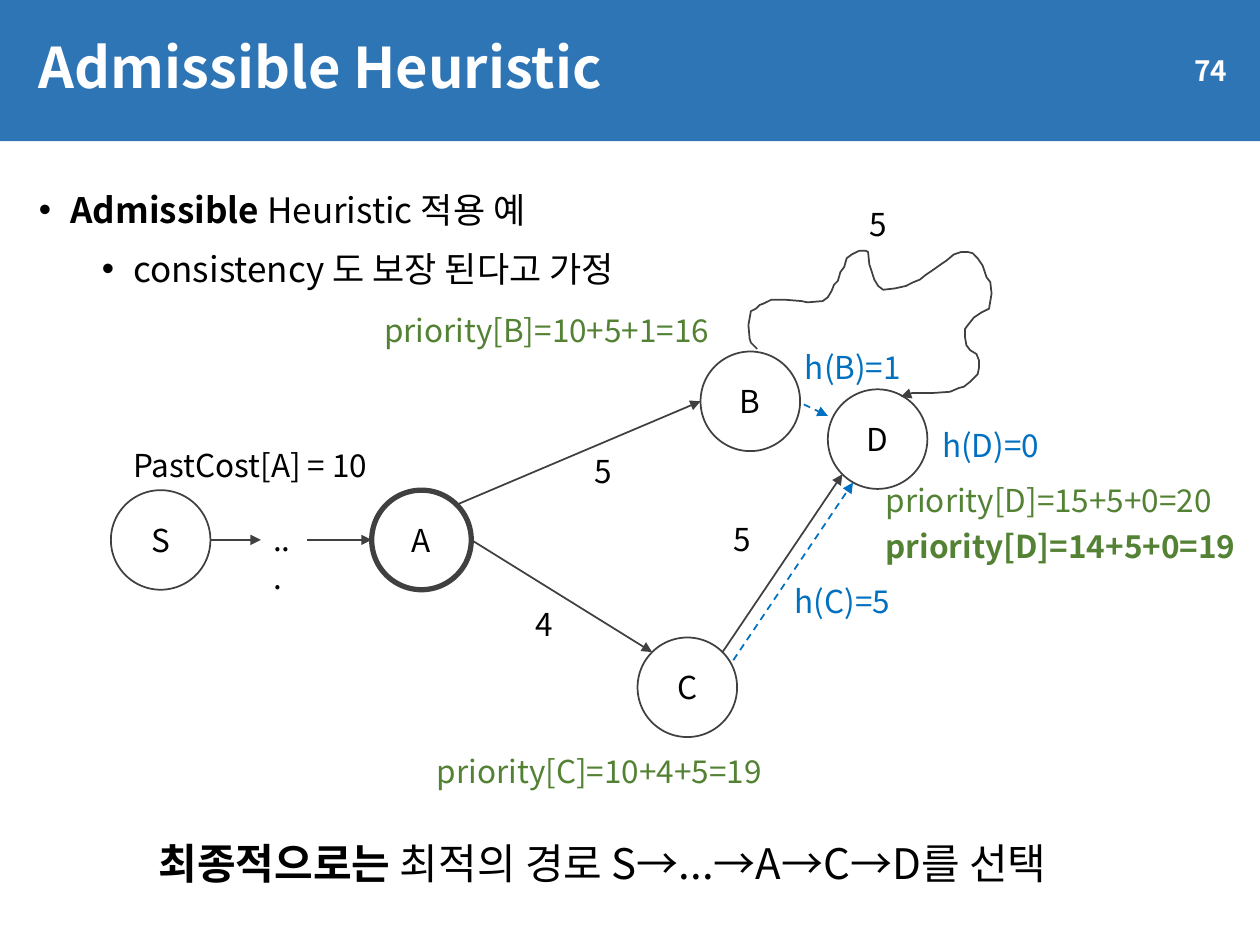
from math import cos, radians, sin
from lxml.etree import SubElement
from pptx import Presentation
from pptx.dml.color import RGBColor
from pptx.enum.dml import MSO_LINE
from pptx.enum.shapes import MSO_CONNECTOR, MSO_SHAPE
from pptx.enum.text import MSO_ANCHOR, MSO_AUTO_SIZE, PP_ALIGN
from pptx.oxml.ns import qn
from pptx.util import Inches, Pt

FONT = "Noto Sans CJK KR"
BLACK, WHITE, GRAY = "000000", "FFFFFF", "404040"
BANNER, BLUE, GREEN = "2E75B6", "0070C0", "548235"
SIZE = 0.79

NODES = {
    "S": (0.88, 3.89, 1),
    "A": (2.95, 3.89, 3),
    "B": (5.56, 2.79, 1),
    "C": (5.06, 5.06, 1),
    "D": (6.57, 3.09, 1),
}
EDGES = [
    (("A", 45), ("B", 180)),
    (("A", 0), ("C", 135)),
    (("C", 45), ("D", 225)),
    (("S", 0), (2.07, 4.285)),
    ((2.44, 4.285), ("A", 180)),
]
ESTIMATES = [((5.82, 5.24), (6.77, 3.83)), ((6.38, 3.21), (6.57, 3.3))]
LABELS = [
    ("5", 4.62, 3.54, 0.34, BLACK),
    ("4", 4.15, 4.75, 0.34, BLACK),
    ("5", 5.72, 4.08, 0.34, BLACK),
    ("5", 6.8, 1.58, 0.34, BLACK),
    ("PastCost[A] = 10", 0.96, 3.49, 2.2, BLACK),
    ("h(B)=1", 6.29, 2.71, 0.96, BLUE),
    ("h(C)=5", 6.21, 4.57, 0.98, BLUE),
    ("h(D)=0", 7.38, 3.33, 1, BLUE),
    ("priority[B]=10+5+1=16", 2.95, 2.42, 2.86, GREEN),
    ("priority[C]=10+4+5=19", 3.37, 5.92, 2.87, GREEN),
    ("priority[D]=15+5+0=20", 6.93, 3.77, 2.89, GREEN),
]
BULLETS = [
    ([("Admissible", True), (" Heuristic 적용 예", False)], 0.25, 0),
    ([("consistency 도 보장 된다고 가정", False)], 0.75, 5),
]
CONCLUSION = [("최종적으로는", True), (" 최적의 경로 S→...→A→C→D를 선택", False)]
DETOUR = [
    (6.01, 2.77), (5.96, 2.72), (5.95, 2.69), (5.94, 2.58), (5.96, 2.47), (6, 2.45),
    (6.03, 2.42), (6.06, 2.41), (6.12, 2.38), (6.24, 2.38), (6.36, 2.39), (6.41, 2.4),
    (6.53, 2.39), (6.57, 2.36), (6.6, 2.31), (6.62, 2.26), (6.65, 2.23), (6.67, 2.16),
    (6.7, 2.12), (6.72, 2.05), (6.76, 2.02), (6.82, 1.99), (6.87, 1.99), (6.89, 2),
    (6.9, 2.1), (6.92, 2.16), (6.94, 2.22), (6.97, 2.27), (7.01, 2.3), (7.1, 2.29),
    (7.19, 2.27), (7.25, 2.24), (7.3, 2.22), (7.35, 2.18), (7.41, 2.14), (7.48, 2.09),
    (7.51, 2.07), (7.57, 2.02), (7.63, 2), (7.68, 2), (7.72, 2.01), (7.76, 2.05),
    (7.8, 2.11), (7.82, 2.17), (7.83, 2.2), (7.86, 2.24), (7.87, 2.33), (7.85, 2.45),
    (7.79, 2.48), (7.73, 2.52), (7.69, 2.57), (7.66, 2.61), (7.66, 2.68), (7.67, 2.74),
    (7.7, 2.78), (7.75, 2.81), (7.77, 2.86), (7.77, 2.92), (7.76, 2.97), (7.7, 3.03),
    (7.65, 3.07), (7.61, 3.08), (7.54, 3.11), (7.4, 3.12), (7.24, 3.12), (7.15, 3.15),
]


def rgb(color):
    return RGBColor.from_string(color)


def add_runs(p, runs, size=18, color=BLACK):
    for text, bold in runs:
        r = p.add_run()
        r.text = text
        r.font.name, r.font.size, r.font.bold = FONT, Pt(size), bold
        r.font.color.rgb = rgb(color)
        SubElement(r.font._element, qn("a:ea"), typeface=FONT)


def add_box(s, shape, at, fill, line=None, width=1):
    sp = s.shapes.add_shape(shape, *map(Inches, at))
    sp.shadow.inherit = False
    sp.fill.solid()
    sp.fill.fore_color.rgb = rgb(fill)
    if line:
        sp.line.color.rgb = rgb(line)
        sp.line.width = Pt(width)
    else:
        sp.line.fill.background()
    return sp


def fill_text(sp, runs, align=PP_ALIGN.LEFT, **fmt):
    tf = sp.text_frame
    tf.vertical_anchor = MSO_ANCHOR.MIDDLE
    p = tf.paragraphs[0]
    p.alignment = align
    add_runs(p, runs, **fmt)
    return p


def add_label(s, runs, at, wrap=False, **fmt):
    tf = s.shapes.add_textbox(*map(Inches, at)).text_frame
    tf.word_wrap = wrap
    tf.auto_size = MSO_AUTO_SIZE.SHAPE_TO_FIT_TEXT
    add_runs(tf.paragraphs[0], runs, **fmt)


def add_bullets(s, items, at):
    tf = s.shapes.add_textbox(*map(Inches, at)).text_frame
    tf.word_wrap = True
    for i, (runs, indent, before) in enumerate(items):
        p = tf.add_paragraph() if i else tf.paragraphs[0]
        p.line_spacing, p.space_before = 1.2, Pt(before)
        pPr = p._p.get_or_add_pPr()
        pPr.set("marL", str(Inches(indent)))
        pPr.set("indent", str(Inches(-0.25)))
        SubElement(pPr, qn("a:buFont"), typeface="Arial")
        SubElement(pPr, qn("a:buChar"), char="•")
        add_runs(p, runs, size=20)


def style_arrow(sp, color):
    sp.line.color.rgb = rgb(color)
    sp.line.width = Pt(1)
    SubElement(sp.line._get_or_add_ln(), qn("a:tailEnd"), type="triangle")


def locate(end):
    if end[0] not in NODES:
        return end
    x, y, _ = NODES[end[0]]
    radius, angle = SIZE / 2, radians(end[1])
    return x + radius + radius * cos(angle), y + radius - radius * sin(angle)


def add_arrow(s, start, end, color=GRAY, dash=None):
    points = map(Inches, (*locate(start), *locate(end)))
    sp = s.shapes.add_connector(MSO_CONNECTOR.STRAIGHT, *points)
    if dash:
        sp.line.dash_style = dash
    style_arrow(sp, color)
    SubElement(sp._element.spPr, qn("a:effectLst"))


def add_detour(s):
    points = [(Inches(x), Inches(y)) for x, y in DETOUR]
    builder = s.shapes.build_freeform(*points[0])
    builder.add_line_segments(points[1:], close=False)
    sp = builder.convert_to_shape()
    sp.shadow.inherit = False
    sp.fill.background()
    style_arrow(sp, GRAY)


def main():
    prs = Presentation()
    prs.slide_width, prs.slide_height = Inches(10), Inches(7.5)
    s = prs.slides.add_slide(prs.slide_layouts[6])

    add_box(s, MSO_SHAPE.RECTANGLE, (0, 0, 10, 1.12), BANNER)
    title = add_box(s, MSO_SHAPE.RECTANGLE, (0.21, 0.13, 9.62, 0.85), BANNER)
    p = fill_text(title, [("Admissible Heuristic", True)], size=32, color=WHITE)
    p.line_spacing = 0.9
    number = add_box(s, MSO_SHAPE.RECTANGLE, (8.49, 0.36, 1.35, 0.4), BANNER)
    fill_text(number, [("74", True)], PP_ALIGN.RIGHT, size=16, color=WHITE)
    add_bullets(s, BULLETS, (0.21, 1.38, 9.62, 5.96))

    for name, (x, y, width) in NODES.items():
        node = add_box(s, MSO_SHAPE.OVAL, (x, y, SIZE, SIZE), WHITE, GRAY, width)
        fill_text(node, [(name, False)], PP_ALIGN.CENTER)
    for start, end in EDGES:
        add_arrow(s, start, end)
    for start, end in ESTIMATES:
        add_arrow(s, start, end, BLUE, MSO_LINE.DASH)
    add_detour(s)

    for text, x, y, width, color in LABELS:
        add_label(s, [(text, False)], (x, y, width, 0.4), color=color)
    add_label(s, [("priority[D]=14+5+0=19", True)], (6.93, 4.13, 3.06, 0.4), color=GREEN)
    add_label(s, [("...", False)], (2.07, 4.08, 0.37, 0.4), wrap=True)
    add_label(s, CONCLUSION, (1.16, 6.6, 7.79, 0.5), size=24)
    prs.save("out.pptx")


if __name__ == "__main__":
    main()
